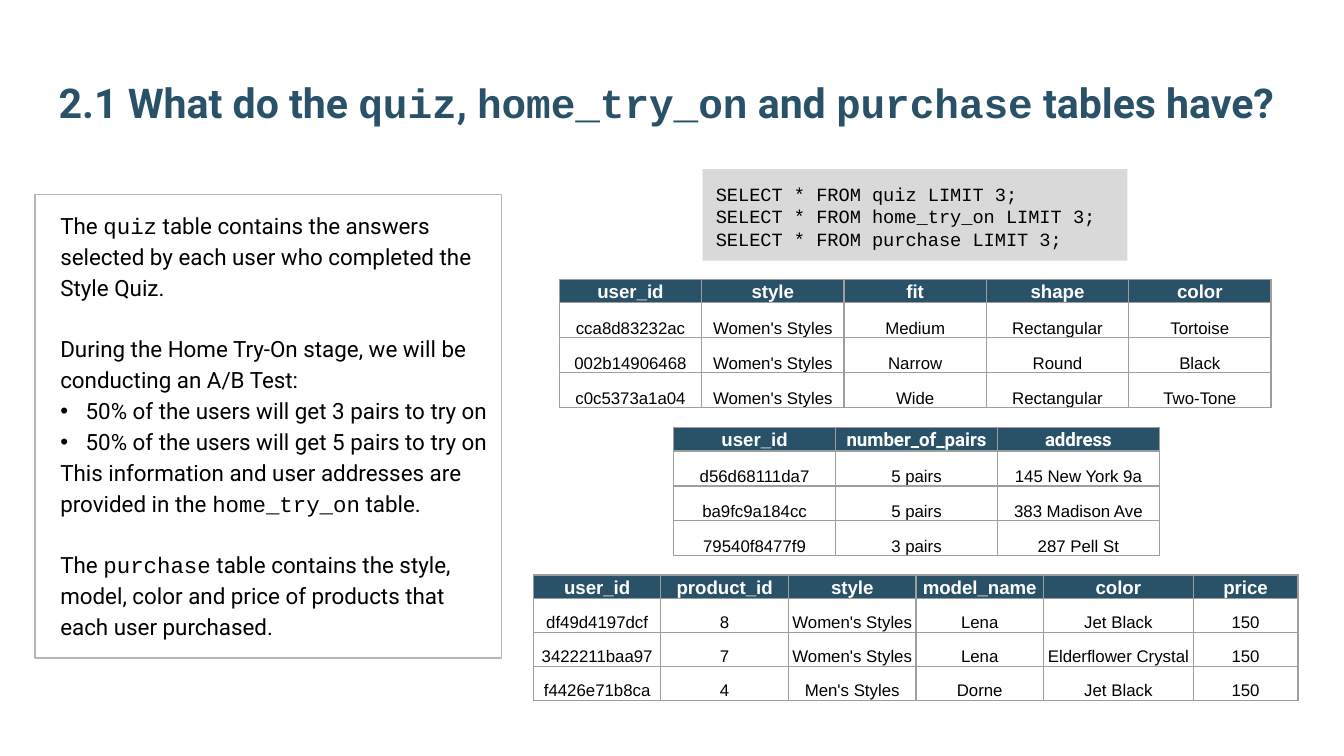
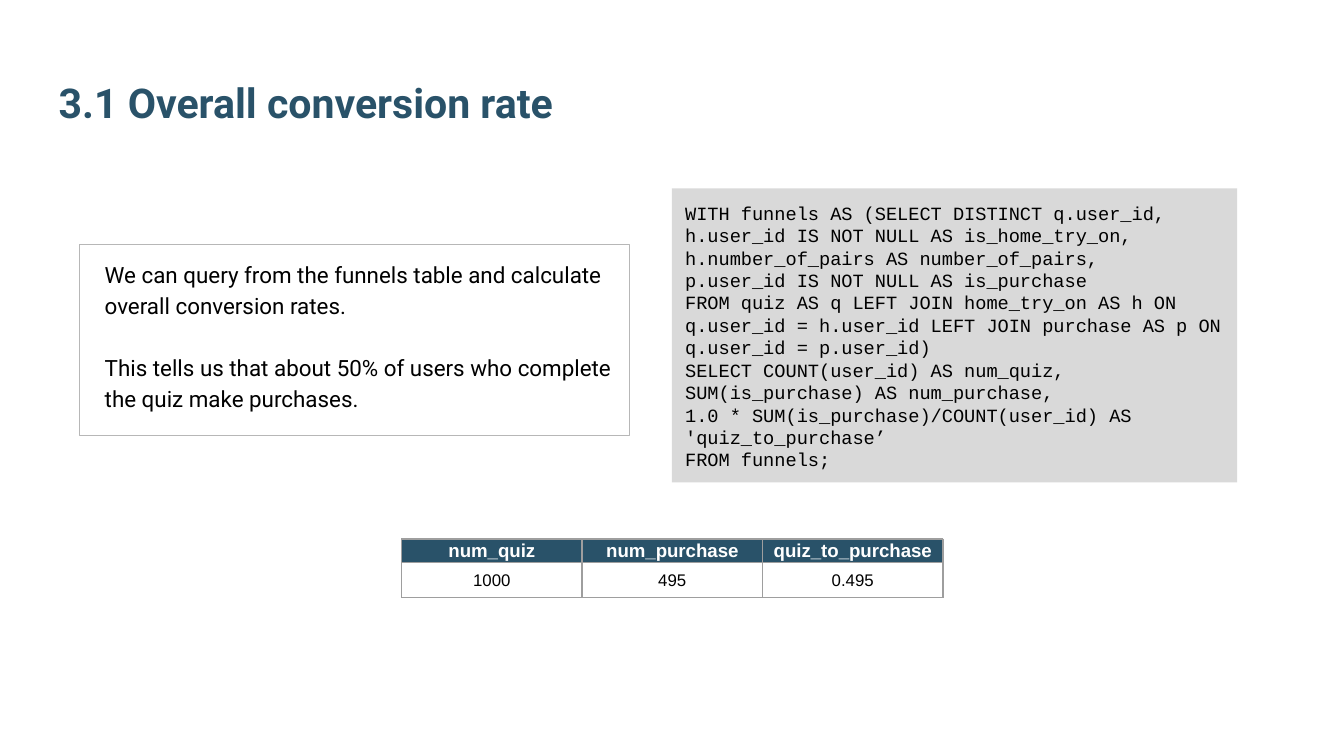
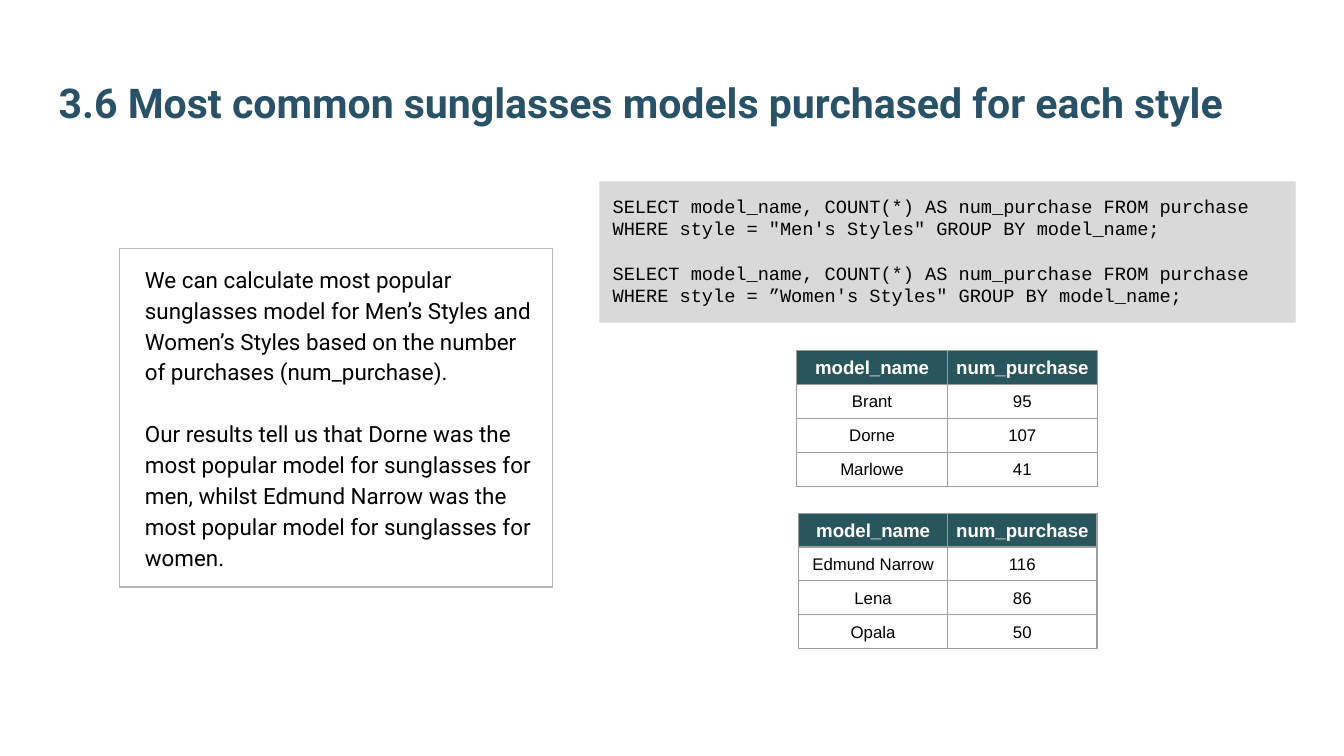
from dataclasses import dataclass
from lxml.etree import SubElement
from pptx import Presentation
from pptx.dml.color import RGBColor
from pptx.enum.shapes import MSO_SHAPE
from pptx.enum.text import MSO_ANCHOR, PP_ALIGN
from pptx.oxml import parse_xml
from pptx.oxml.ns import nsdecls, qn
from pptx.util import Cm, Pt


@dataclass(frozen=True)
class Theme:
    """Colours, fonts and sizes shared by all slides."""
    navy: str = "295269"
    teal: str = "29555D"
    code_fill: str = "D9D9D9"
    box_line: str = "B7B7B7"
    grid: str = "9E9E9E"
    black: str = "000000"
    white: str = "FFFFFF"
    sans: str = "Roboto"
    mono: str = "Courier New"
    cell: str = "Arial"
    title_size: float = 22
    body_size: float = 12
    code_size: float = 10
    head_size: float = 10
    cell_size: float = 9
    body_gap: float = 16.5
    code_gap: float = 12
    hairline: float = 0.75
    pad: float = 0.25
    indent: float = 0.48


T = Theme()
TITLE_BOX = (0.86, 0.81, 23.67, 1.83)


def apply(obj, values):
    """Set each attribute of obj from a dict."""
    for name, value in values.items():
        setattr(obj, name, value)


def add_runs(p, text, size, color=T.black, font=T.sans, bold=False):
    """Add runs to a paragraph, with parts between backticks in the mono font."""
    for i, part in enumerate(text.split("`")):
        if part:
            r = p.add_run()
            r.text = part
            apply(r.font, {"name": T.mono if i % 2 else font, "size": Pt(size), "bold": bold})
            r.font.color.rgb = RGBColor.from_string(color)


def add_bullet(p):
    """Give a paragraph a hanging bullet."""
    pPr = p._p.get_or_add_pPr()
    pPr.set("marL", str(Cm(T.indent)))
    pPr.set("indent", str(-Cm(T.indent)))
    SubElement(SubElement(pPr, qn("a:buClr")), qn("a:srgbClr")).set("val", T.black)
    SubElement(pPr, qn("a:buFont")).set("typeface", T.cell)
    SubElement(pPr, qn("a:buChar")).set("char", "•")


def frame_text(tf, anchor, left=T.pad):
    """Set wrapping, anchor and insets of a text frame."""
    apply(tf, {"word_wrap": True, "vertical_anchor": anchor, "margin_left": Cm(left),
               "margin_right": Cm(T.pad), "margin_top": Cm(T.pad), "margin_bottom": Cm(T.pad)})


def fill_groups(tf, groups, gap, spacing=None, **style):
    """Write groups of paragraphs, with a gap before each later group."""
    p = None
    for group in groups:
        for i, text in enumerate(group):
            first = p is None
            p = tf.paragraphs[0] if first else tf.add_paragraph()
            if text.startswith("• "):
                add_bullet(p)
                text = text[2:]
            apply(p, {"alignment": PP_ALIGN.LEFT, "line_spacing": spacing})
            if i == 0 and not first:
                p.space_before = Pt(gap)
            add_runs(p, text, **style)


def add_title(s, text):
    """Add the slide title."""
    tf = s.shapes.add_textbox(*map(Cm, TITLE_BOX)).text_frame
    frame_text(tf, MSO_ANCHOR.BOTTOM)
    add_runs(tf.paragraphs[0], text, T.title_size, T.navy, bold=True)


def add_box(s, box):
    """Add a plain rectangle without shadow."""
    sp = s.shapes.add_shape(MSO_SHAPE.RECTANGLE, *map(Cm, box))
    sp.shadow.inherit = False
    return sp


def add_code(s, box, groups):
    """Add a grey panel holding a query."""
    sp = add_box(s, box)
    sp.fill.solid()
    sp.fill.fore_color.rgb = RGBColor.from_string(T.code_fill)
    sp.line.fill.background()
    frame_text(sp.text_frame, MSO_ANCHOR.TOP)
    fill_groups(sp.text_frame, groups, T.code_gap, size=T.code_size, font=T.mono)


def add_note(s, box, groups):
    """Add an outlined panel holding an explanation."""
    sp = add_box(s, box)
    sp.fill.background()
    sp.line.color.rgb = RGBColor.from_string(T.box_line)
    sp.line.width = Pt(T.hairline)
    frame_text(sp.text_frame, MSO_ANCHOR.TOP, T.indent)
    fill_groups(sp.text_frame, groups, T.body_gap, 1.15, size=T.body_size)


def add_borders(cell):
    """Draw a thin line on all four sides of a cell."""
    tcPr = cell._tc.get_or_add_tcPr()
    for i, side in enumerate("LRTB"):
        tcPr.insert(i, parse_xml(
            f'<a:ln{side} {nsdecls("a")} w="{Pt(T.hairline)}"><a:solidFill>'
            f'<a:srgbClr val="{T.grid}"/></a:solidFill></a:ln{side}>'))


def add_grid(s, left, top, widths, heights, rows, anchor=MSO_ANCHOR.MIDDLE,
             head_fill=T.navy, sans_heads=()):
    """Add a table from rows, the first being its header."""
    head_h, body_h = heights
    tops = [head_h] + [body_h] * (len(rows) - 1)
    table = s.shapes.add_table(len(rows), len(widths), Cm(left), Cm(top),
                               Cm(sum(widths)), Cm(sum(tops))).table
    apply(table, {"first_row": False, "horz_banding": False})
    for col, width in zip(table.columns, widths):
        col.width = Cm(width)
    for i, (row, height) in enumerate(zip(rows, tops)):
        table.rows[i].height = Cm(height)
        for j, text in enumerate(row):
            cell = table.cell(i, j)
            apply(cell, {"vertical_anchor": anchor, "margin_left": Cm(0.02),
                         "margin_right": Cm(0.02), "margin_top": Cm(0.02), "margin_bottom": 0})
            p = cell.text_frame.paragraphs[0]
            p.alignment = PP_ALIGN.CENTER
            if i == 0:
                cell.fill.solid()
                cell.fill.fore_color.rgb = RGBColor.from_string(head_fill)
                font = T.sans if text in sans_heads else T.cell
                add_runs(p, text, T.head_size, T.white, font, True)
            else:
                cell.fill.background()
                add_runs(p, text, T.cell_size, font=T.cell)
            add_borders(cell)


def source_tables_slide(s):
    """Show the first rows of the three source tables."""
    add_title(s, "2.1 What do the `quiz`, `home_try_on` and `purchase` tables have?")
    add_code(s, (13.28, 3.2, 8.03, 1.73), [[
        f"SELECT * FROM {name} LIMIT 3;" for name in ("quiz", "home_try_on", "purchase")]])
    low = MSO_ANCHOR.BOTTOM
    add_grid(s, 10.57, 5.28, [2.69] * 5, (0.42, 0.66), [
        ("user_id", "style", "fit", "shape", "color"),
        ("cca8d83232ac", "Women's Styles", "Medium", "Rectangular", "Tortoise"),
        ("002b14906468", "Women's Styles", "Narrow", "Round", "Black"),
        ("c0c5373a1a04", "Women's Styles", "Wide", "Rectangular", "Two-Tone")], low)
    add_grid(s, 12.73, 8.08, [3.06] * 3, (0.43, 0.66), [
        ("user_id", "number_of_pairs", "address"),
        ("d56d68111da7", "5 pairs", "145 New York 9a"),
        ("ba9fc9a184cc", "5 pairs", "383 Madison Ave"),
        ("79540f8477f9", "3 pairs", "287 Pell St")], low,
        sans_heads=("number_of_pairs", "address"))
    add_grid(s, 10.08, 10.87, [2.41] * 4 + [2.83, 1.98], (0.42, 0.64), [
        ("user_id", "product_id", "style", "model_name", "color", "price"),
        ("df49d4197dcf", "8", "Women's Styles", "Lena", "Jet Black", "150"),
        ("3422211baa97", "7", "Women's Styles", "Lena", "Elderflower Crystal", "150"),
        ("f4426e71b8ca", "4", "Men's Styles", "Dorne", "Jet Black", "150")], low)
    add_note(s, (0.66, 3.68, 8.82, 8.76), [
        ["The `quiz` table contains the answers selected by each user who completed "
         "the Style Quiz."],
        ["During the Home Try-On stage, we will be conducting an A/B Test:",
         "• 50% of the users will get 3 pairs to try on",
         "• 50% of the users will get 5 pairs to try on",
         "This information and user addresses are provided in the `home_try_on` table."],
        ["The `purchase` table contains the style, model, color and price of products "
         "that each user purchased."]])


def conversion_slide(s):
    """Show the overall conversion query and its result."""
    add_title(s, "3.1 Overall conversion rate")
    add_code(s, (12.7, 3.56, 10.68, 5.56), [[
        "WITH funnels AS (SELECT DISTINCT q.user_id, h.user_id IS NOT NULL AS is_home_try_on, "
        "h.number_of_pairs AS number_of_pairs,",
        "p.user_id IS NOT NULL AS is_purchase",
        "FROM quiz AS q LEFT JOIN home_try_on AS h ON q.user_id = h.user_id "
        "LEFT JOIN purchase AS p ON q.user_id = p.user_id)",
        "SELECT COUNT(user_id) AS num_quiz, SUM(is_purchase) AS num_purchase,",
        "1.0 * SUM(is_purchase)/COUNT(user_id) AS 'quiz_to_purchase’",
        "FROM funnels;"]])
    add_note(s, (1.5, 4.62, 10.4, 3.61), [
        ["We can query from the funnels table and calculate overall conversion rates."],
        ["This tells us that about 50% of users who complete the quiz make purchases."]])
    add_grid(s, 7.59, 10.19, [3.41] * 3, (0.42, 0.66), [
        ("num_quiz", "num_purchase", "quiz_to_purchase"), ("1000", "495", "0.495")])


def models_slide(s):
    """Show the purchases of each model for both styles."""
    add_title(s, "3.6 Most common sunglasses models purchased for each style")
    query = ("SELECT model_name, COUNT(*) AS num_purchase FROM purchase "
             "WHERE style = {} GROUP BY model_name;")
    add_code(s, (11.33, 3.43, 13.16, 2.67), [
        [query.format(style)] for style in ('"Men\'s Styles"', '”Women\'s Styles"')])
    add_note(s, (2.26, 4.7, 8.18, 6.4), [
        ["We can calculate most popular sunglasses model for Men’s Styles and Women’s Styles "
         "based on the number of purchases (num_purchase)."],
        ["Our results tell us that Dorne was the most popular model for sunglasses for men, "
         "whilst Edmund Narrow was the most popular model for sunglasses for women."]])
    heads = ("model_name", "num_purchase")
    men = [("Brant", "95"), ("Dorne", "107"), ("Marlowe", "41")]
    women = [("Edmund Narrow", "116"), ("Lena", "86"), ("Opala", "50")]
    for left, top, width, counts in ((15.06, 6.63, 2.84, men), (15.09, 9.7, 2.82, women)):
        add_grid(s, left, top, [width] * 2, (0.64, 0.64), [heads, *counts], head_fill=T.teal)


def main():
    """Build and save the deck."""
    prs = Presentation()
    apply(prs, {"slide_width": Cm(25.4), "slide_height": Cm(14.29)})
    for build in (source_tables_slide, conversion_slide, models_slide):
        build(prs.slides.add_slide(prs.slide_layouts[6]))
    prs.save("out.pptx")


if __name__ == "__main__":
    main()
